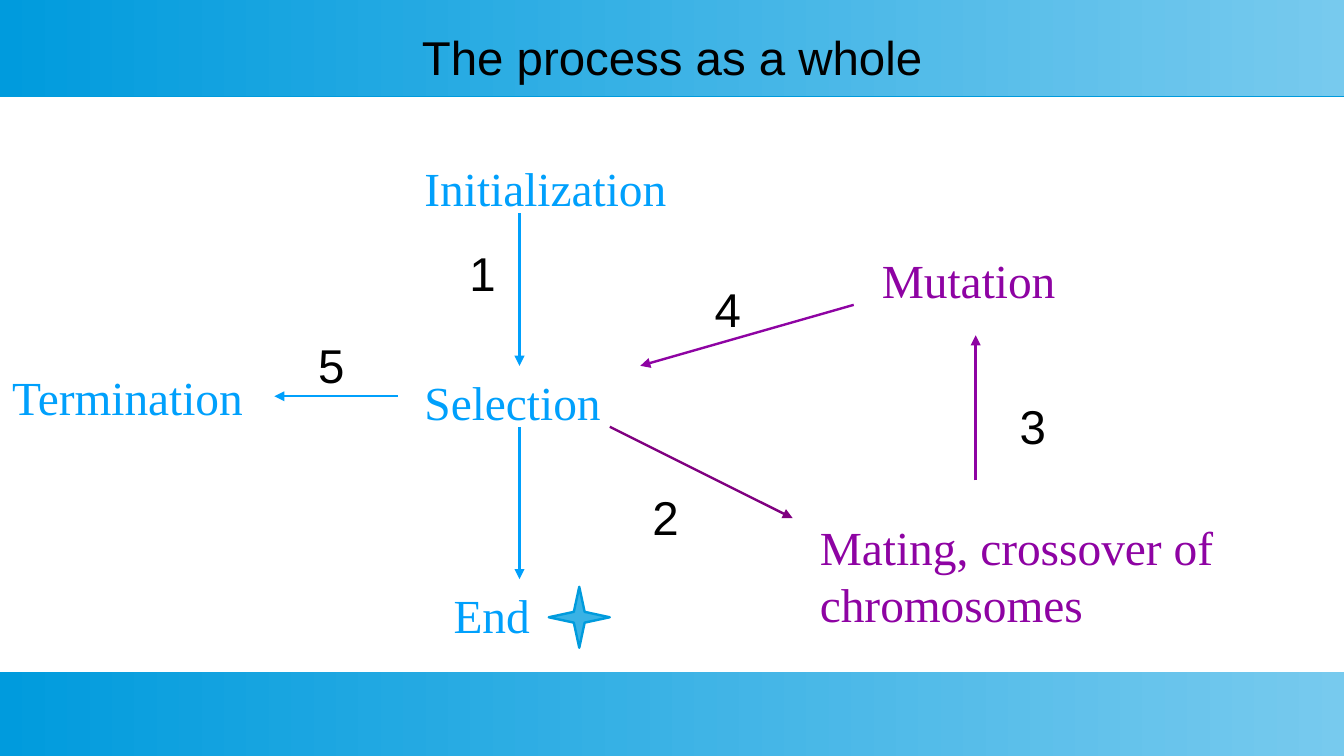
import pptx
import pptx.util
import pptx.dml.color
import pptx.enum.shapes
import pptx.enum.text
from lxml import etree

Pt = pptx.util.Pt
SHAPES = pptx.enum.shapes.MSO_SHAPE
ALIGN = pptx.enum.text.PP_ALIGN
ANCHOR = pptx.enum.text.MSO_ANCHOR
WIDTH, HEIGHT = 793.44, 446.4
COLORS = {
    "deep": "009BDD", "pale": "77CAEE", "star": "39B2E5", "black": "000000",
    "blue": "00A0FC", "violet": "8E03A3", "purple": "800080",
}


def rgb(name):
    return pptx.dml.color.RGBColor.from_string(COLORS[name])


def add_text(page, text, box, font="Arial", color="black", size=28,
             align=ALIGN.LEFT, anchor=ANCHOR.TOP):
    frame = page.shapes.add_textbox(*map(Pt, box)).text_frame
    frame.word_wrap = True
    frame.vertical_anchor = anchor
    frame.margin_left = frame.margin_right = 0
    frame.margin_top = frame.margin_bottom = 0
    para = frame.paragraphs[0]
    para.alignment = align
    span = para.add_run()
    span.text = text
    span.font.name = font
    span.font.size = Pt(size)
    span.font.color.rgb = rgb(color)


def add_line(page, start, end, color, width=1.42, arrow=True):
    line = page.shapes.add_connector(
        pptx.enum.shapes.MSO_CONNECTOR.STRAIGHT, *map(Pt, (*start, *end)))
    line.line.color.rgb = rgb(color)
    line.line.width = Pt(width)
    if arrow:
        outline = line.line._get_or_add_ln()
        etree.SubElement(outline, pptx.oxml.ns.qn("a:tailEnd"), type="triangle")
    etree.SubElement(line._element.spPr, pptx.oxml.ns.qn("a:effectLst"))


def add_band(page, box):
    band = page.shapes.add_shape(SHAPES.RECTANGLE, *map(Pt, box))
    band.shadow.inherit = False
    band.line.fill.background()
    band.fill.gradient()
    band.fill.gradient_angle = 0
    for stop, color in zip(band.fill.gradient_stops, ("deep", "pale")):
        stop.color.rgb = rgb(color)


def add_header(page, box):
    left, top, width, height = box
    add_band(page, box)
    edge = top + height
    add_line(page, (left, edge), (left + width, edge), "deep", 0.6, arrow=False)
    add_text(page, "The process as a whole", (left + 28, top + 14.4, width - 56, 37.4),
             align=ALIGN.CENTER, anchor=ANCHOR.MIDDLE)


def add_process(page, box):
    left, top = box[:2]

    # Stages: text, x, y, width, color
    stages = [
        ("Initialization", 250.6, 37.2, 200, "blue"),
        ("Selection", 250.6, 163.2, 150, "blue"),
        ("End", 267.8, 289.2, 54, "blue"),
        ("Termination", 7.2, 160.5, 150, "blue"),
        ("Mutation", 520.6, 91.2, 150, "violet"),
        ("Mating, crossover of chromosomes", 484, 249.2, 300, "violet"),
    ]
    for text, x, y, width, color in stages:
        add_text(page, text, (left + x, top + y, width, 32),
                 font="Times New Roman", color=color)

    # Arrows: from, to, color
    arrows = [
        ((306.7, 69), (306.7, 159), "blue"),
        ((306.7, 195), (306.7, 285), "blue"),
        ((234.7, 177), (162, 177), "blue"),
        ((360, 195), (468, 249), "purple"),
        ((576, 226.7), (576, 141), "violet"),
        ((504, 123), (378, 159), "violet"),
    ]
    for start, end, color in arrows:
        add_line(page, (left + start[0], top + start[1]),
                 (left + end[0], top + end[1]), color)

    # Step numbers
    places = [(277.2, 87.3), (385.2, 231.3), (601.9, 177.3), (421.9, 108.3), (187.9, 141.3)]
    for number, (x, y) in enumerate(places, 1):
        add_text(page, str(number), (left + x, top + y, 30, 32))

    # Star beside the end
    star = page.shapes.add_shape(
        SHAPES.STAR_4_POINT, *map(Pt, (left + 324, top + 289.5, 36, 36)))
    star.adjustments[0] = 0.125
    star.shadow.inherit = False
    star.fill.solid()
    star.fill.fore_color.rgb = rgb("star")
    star.line.color.rgb = rgb("deep")
    star.line.width = Pt(1.42)


def main():
    deck = pptx.Presentation()
    deck.slide_width, deck.slide_height = Pt(WIDTH), Pt(HEIGHT)
    page = deck.slides.add_slide(deck.slide_layouts[6])
    head, foot = 57, 49.7
    add_header(page, (0, 0, WIDTH, head))
    add_band(page, (0, HEIGHT - foot, WIDTH, foot))
    add_process(page, (0, head, WIDTH, HEIGHT - head - foot))
    deck.save("out.pptx")


if __name__ == "__main__":
    main()
